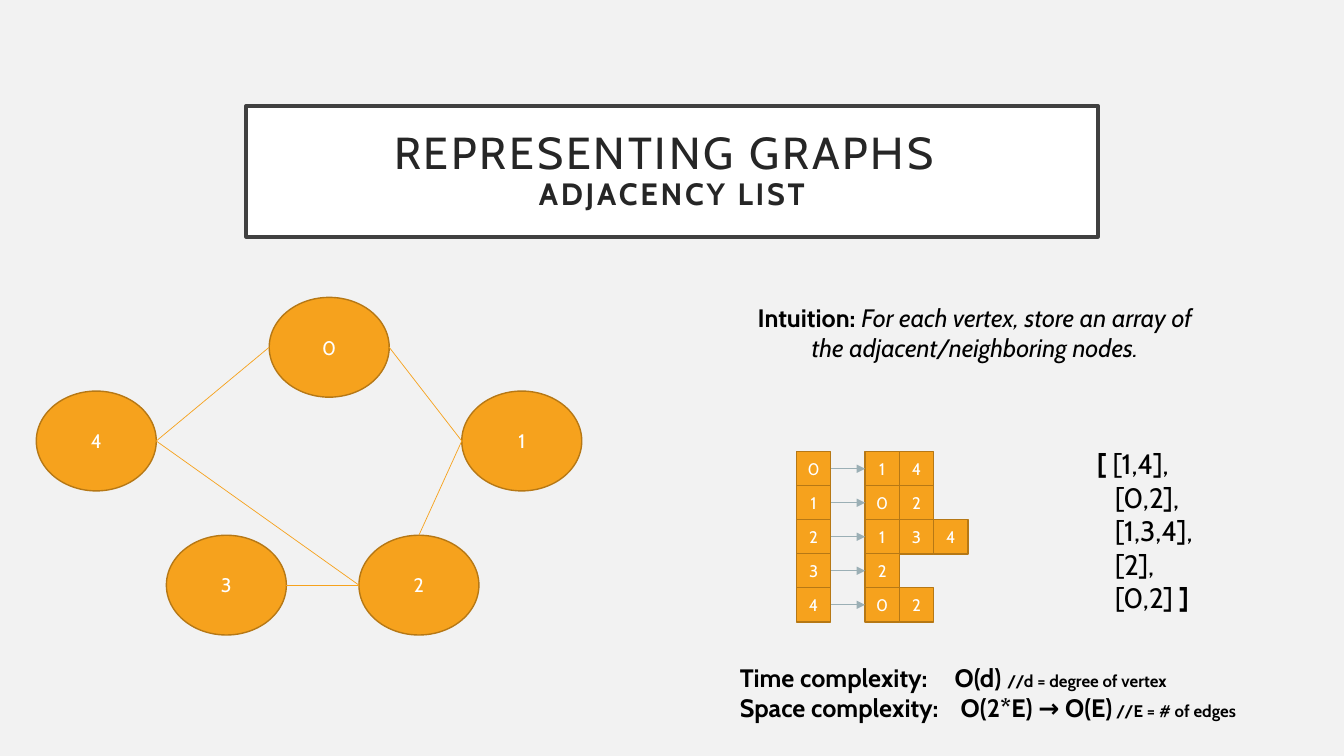
"""Build a slide that explains the adjacency list of a small graph."""
from dataclasses import dataclass

from lxml import etree
from pptx import Presentation
from pptx.dml.color import RGBColor
from pptx.enum.shapes import MSO_CONNECTOR, MSO_SHAPE
from pptx.enum.text import MSO_ANCHOR, MSO_AUTO_SIZE, PP_ALIGN
from pptx.oxml.ns import qn
from pptx.util import Pt

OVAL, RECT, STRAIGHT = MSO_SHAPE.OVAL, MSO_SHAPE.RECTANGLE, MSO_CONNECTOR.STRAIGHT
LEFT, CENTER, MIDDLE = PP_ALIGN.LEFT, PP_ALIGN.CENTER, MSO_ANCHOR.MIDDLE
NO_FIT = MSO_AUTO_SIZE.NONE
PX = 9144


@dataclass(frozen=True)
class Theme:
    font: str = "Cabin"
    page: str = "F2F2F2"
    panel: str = "FFFFFF"
    frame: str = "404040"
    heading: str = "262626"
    ink: str = "000000"
    accent: str = "F6A21D"
    outline: str = "B67815"
    light: str = "FFFFFF"
    arrow: str = "9BAFB5"
    title: int = 32
    subtitle: int = 22
    code: int = 20
    body: int = 18
    node: int = 14
    small: int = 12


THEME = Theme()
TITLE = ("REPRESENTING GRAPHS ", "ADJACENCY LIST")
TITLE_BOX = (244, 105, 845, 130)
TITLE_INSET = 20

NODES = {4: (36, 388), 0: (267, 295), 3: (165, 531), 1: (458, 388), 2: (356, 531)}
NODE_SIZE = (119, 99)
SIDES = {"left": (0, 0.5), "right": (1, 0.5), "top": (0.5, 0)}
EDGES = [
    (4, "right", 0, "left"),
    (3, "right", 2, "left"),
    (0, "right", 1, "left"),
    (2, "top", 1, "left"),
    (2, "left", 4, "right"),
]

ADJACENCY = [[1, 4], [0, 2], [1, 3, 4], [2], [0, 2]]
INDEX_LEFT, LISTS_LEFT, ROWS_TOP = 790, 858, 448
CELL, ROW_PITCH = 34, 33.75

BOLD, ITALIC, PLAIN = {"bold": True}, {"italic": True}, {}
INTUITION = [
    ("Intuition: ", THEME.body, BOLD),
    ("For each vertex, store an array of the adjacent/neighboring nodes.", THEME.body, ITALIC),
]
INTUITION_BOX = (724, 295, 486, 71)
CODE = [
    [("[", THEME.code, BOLD), (" [1,4],", THEME.code, PLAIN)],
    [("[0,2],", THEME.code, PLAIN)],
    [("[1,3,4],", THEME.code, PLAIN)],
    [("[2],", THEME.code, PLAIN)],
    [("[0,2] ", THEME.code, PLAIN), ("]", THEME.code, BOLD)],
]
CODE_BOX, CODE_INDENT = (1078, 438, 132, 178), 18
COMPLEXITY = [
    [("Time complexity:\tO(d) ", THEME.body, BOLD),
     ("//d = degree of vertex", THEME.small, BOLD)],
    [("Space complexity:\tO(2*E) → O(E)", THEME.body, BOLD),
     (" //E = # of edges", THEME.small, BOLD)],
]
COMPLEXITY_BOX, COMPLEXITY_TABS = (724, 652, 570, 71), (213, 219)


def emu(*lengths):
    return [round(length * PX) for length in lengths]


def apply(target, values):
    for name, value in values.items():
        setattr(target, name, value)


def add_span(para, text, size, color, style):
    span = para.add_run()
    span.text = text
    apply(span.font, {"name": THEME.font, "size": Pt(size), **style})
    span.font.color.rgb = RGBColor.from_string(color)
    return span


def paint(shape, fill, line, width):
    shape.fill.solid()
    shape.fill.fore_color.rgb = RGBColor.from_string(fill)
    shape.line.color.rgb = RGBColor.from_string(line)
    shape.line.width = Pt(width)


def add_label(page, kind, box, text, size):
    shape = page.shapes.add_shape(kind, *emu(*box))
    shape.shadow.inherit = False
    paint(shape, THEME.accent, THEME.outline, 1)
    frame = shape.text_frame
    apply(frame, {"vertical_anchor": MIDDLE, "margin_left": 0, "margin_right": 0,
                  "margin_top": 0, "margin_bottom": 0})
    para = frame.paragraphs[0]
    para.alignment = CENTER
    add_span(para, str(text), size, THEME.light, PLAIN)


def add_line(page, start, end, color, arrow=False):
    line = page.shapes.add_connector(STRAIGHT, *emu(*start, *end))
    line.line.color.rgb = RGBColor.from_string(color)
    line.line.width = Pt(0.5)
    properties = line.element.spPr
    if arrow:
        etree.SubElement(properties.find(qn("a:ln")), qn("a:tailEnd"), type="triangle")
    etree.SubElement(properties, qn("a:effectLst"))


def add_text(page, box, lines, align=LEFT):
    frame = page.shapes.add_textbox(*emu(*box)).text_frame
    frame.word_wrap = True
    for number, spans in enumerate(lines):
        para = frame.add_paragraph() if number else frame.paragraphs[0]
        para.alignment = align
        for text, size, style in spans:
            add_span(para, text, size, THEME.ink, style)
    return frame.paragraphs


def add_title(page):
    title = page.shapes.title
    left, top, width, height = emu(*TITLE_BOX)
    apply(title, {"left": left, "top": top, "width": width, "height": height})
    paint(title, THEME.panel, THEME.frame, 2.5)
    inset = TITLE_INSET * PX
    frame = title.text_frame
    apply(frame, {"vertical_anchor": MIDDLE, "auto_size": NO_FIT, "word_wrap": True,
                  "margin_left": inset, "margin_right": inset,
                  "margin_top": inset, "margin_bottom": inset})
    para = frame.paragraphs[0]
    apply(para, {"alignment": CENTER, "line_spacing": 0.9})
    heading = add_span(para, TITLE[0], THEME.title, THEME.heading, PLAIN)
    para.add_line_break()
    subtitle = add_span(para, TITLE[1], THEME.subtitle, THEME.heading, BOLD)
    for span in (heading, subtitle):
        span.font._element.set("spc", "200")
    line_break = para._p.find(qn("a:br"))
    etree.SubElement(line_break, qn("a:rPr"), sz=str(THEME.title * 100))


def add_graph(page):
    for node, corner in NODES.items():
        add_label(page, OVAL, (*corner, *NODE_SIZE), node, THEME.node)

    def anchor(node, side):
        return [start + size * part
                for start, size, part in zip(NODES[node], NODE_SIZE, SIDES[side])]

    for source, source_side, target, target_side in EDGES:
        add_line(page, anchor(source, source_side), anchor(target, target_side), THEME.accent)


def add_adjacency(page):
    for vertex, neighbors in enumerate(ADJACENCY):
        top = ROWS_TOP + vertex * ROW_PITCH
        middle = top + CELL / 2
        add_label(page, RECT, (INDEX_LEFT, top, CELL, CELL), vertex, THEME.small)
        for column, neighbor in enumerate(neighbors):
            box = (LISTS_LEFT + column * CELL, top, CELL, CELL)
            add_label(page, RECT, box, neighbor, THEME.small)
        add_line(page, (INDEX_LEFT + CELL, middle), (LISTS_LEFT, middle), THEME.arrow, True)


def add_notes(page):
    add_text(page, INTUITION_BOX, [INTUITION], CENTER)
    for para in add_text(page, CODE_BOX, CODE)[1:]:
        para._p.get_or_add_pPr().set("marL", str(CODE_INDENT * PX))
    for para, position in zip(add_text(page, COMPLEXITY_BOX, COMPLEXITY), COMPLEXITY_TABS):
        tabs = etree.SubElement(para._p.get_or_add_pPr(), qn("a:tabLst"))
        etree.SubElement(tabs, qn("a:tab"), pos=str(position * PX), algn="l")


def main():
    deck = Presentation()
    deck.slide_width, deck.slide_height = emu(1333, 750)
    page = deck.slides.add_slide(deck.slide_layouts[5])
    page.background.fill.solid()
    page.background.fill.fore_color.rgb = RGBColor.from_string(THEME.page)
    add_title(page)
    add_graph(page)
    add_adjacency(page)
    add_notes(page)
    deck.save("out.pptx")


if __name__ == "__main__":
    main()
